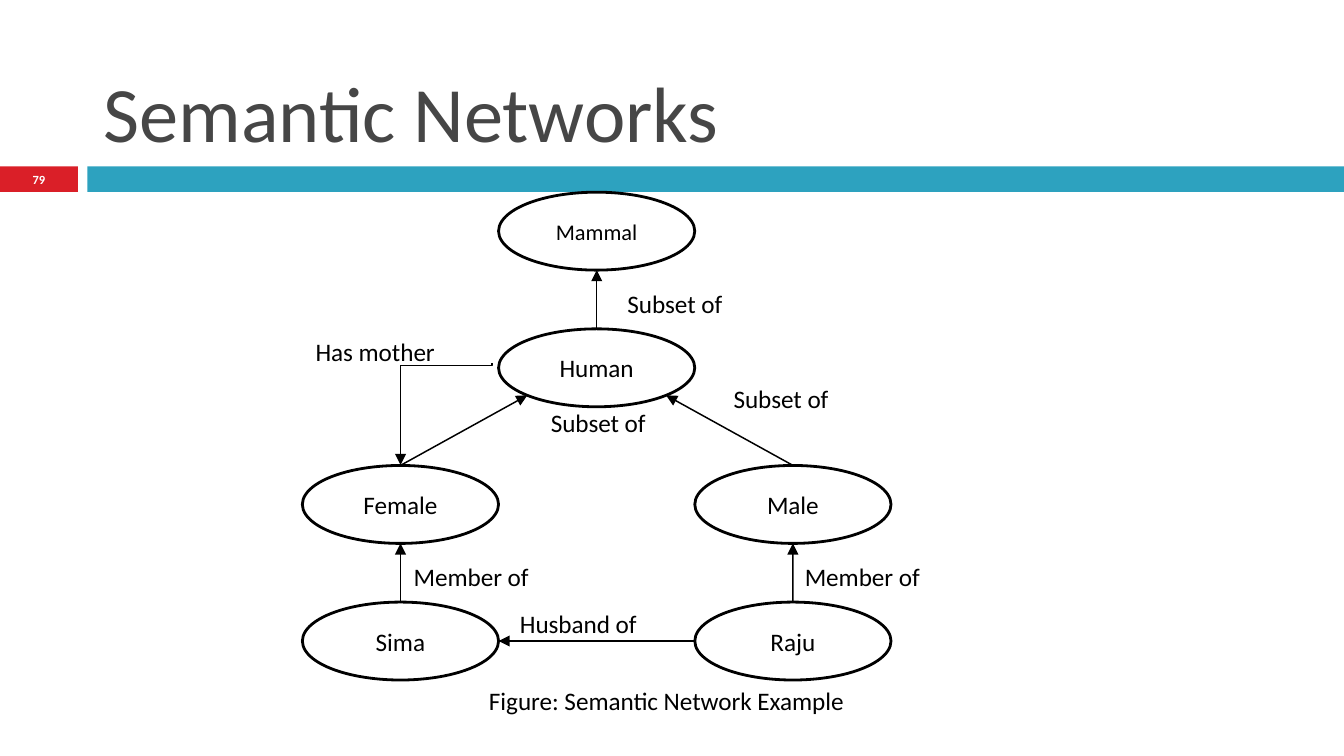
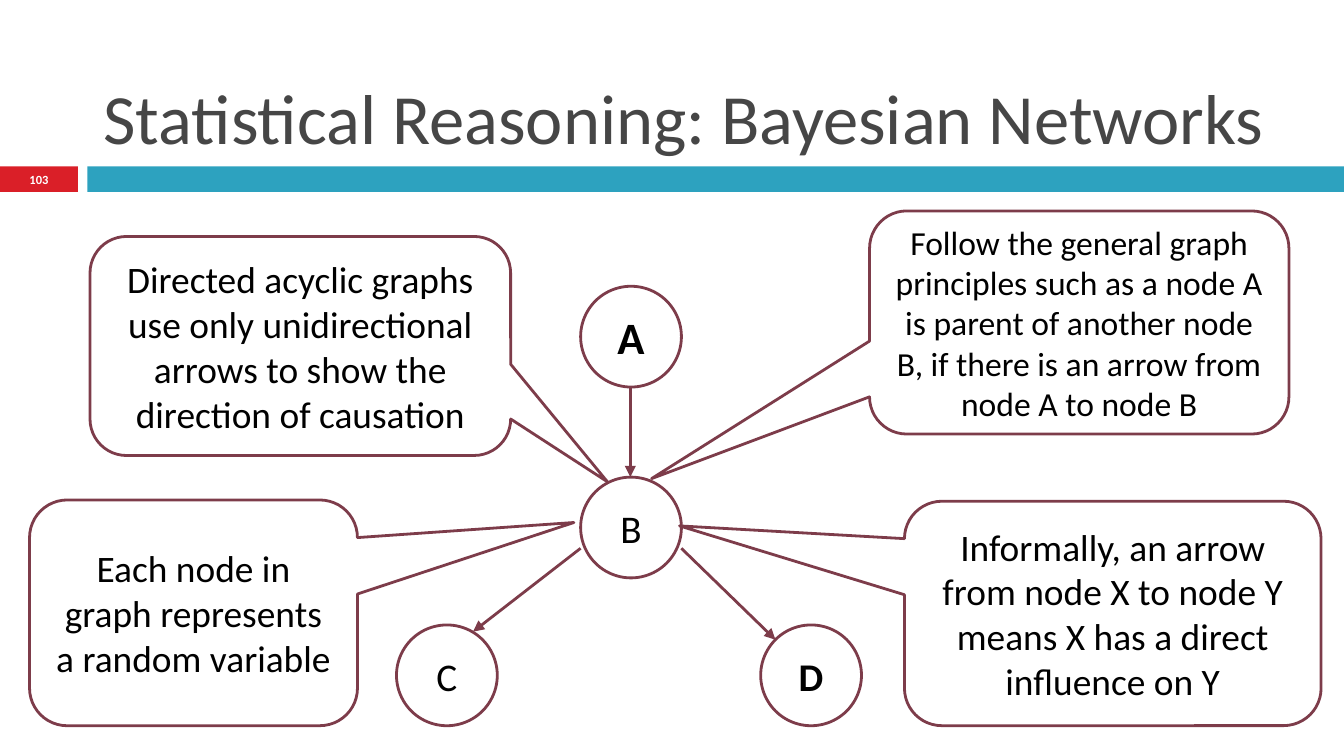
from dataclasses import dataclass
from math import cos, radians, sin

from lxml.etree import SubElement
from pptx import Presentation
from pptx.dml.color import RGBColor
from pptx.enum.shapes import MSO_CONNECTOR, MSO_SHAPE
from pptx.enum.text import MSO_ANCHOR, PP_ALIGN
from pptx.oxml.ns import qn
from pptx.util import Inches, Pt


@dataclass(frozen=True)
class Theme:
    font: str = "Calibri"
    title_color: str = "464646"
    ink: str = "000000"
    paper: str = "FFFFFF"
    number_band: str = "DA1F28"
    title_band: str = "2DA2BF"
    plum: str = "7D3C4A"
    network_title: float = 42
    bayes_title: float = 37.8
    page_number: float = 6.7
    small: float = 12
    label: float = 13.5
    compact: float = 18
    body: float = 20
    letter: float = 21
    root_letter: float = 24
    thin: float = 0.79
    outline: float = 1.5


THEME = Theme()
SLIDE_WIDTH = 10
SLIDE_HEIGHT = SLIDE_WIDTH * 9 / 16
BAND_TOP, BAND_HEIGHT = SLIDE_HEIGHT * 0.22, 0.19
NUMBER_WIDTH, TITLE_BAND_LEFT = 0.58, 0.65
TITLE_LEFT, TITLE_TOP, TITLE_WIDTH, TITLE_HEIGHT = 0.67, 0.13, 8.92, 1.1

GRID_LEFT, GRID_TOP = 2.25, 1.43
COLUMN, ROW = 1.46, 3.05 / 3
NODE_HEIGHT = 0.58
CIRCLE = 0.75

TOP, LEFT, BOTTOM_LEFT, BOTTOM, BOTTOM_RIGHT, RIGHT = 0, 2, 3, 4, 5, 6

CONCEPTS = {
    "Mammal": (1, 0, THEME.small),
    "Human": (1, 1, THEME.label),
    "Female": (0, 2, THEME.label),
    "Male": (2, 2, THEME.label),
    "Sima": (0, 3, THEME.label),
    "Raju": (2, 3, THEME.label),
}
RELATIONS = [
    ("Human", TOP, "Mammal", BOTTOM),
    ("Female", TOP, "Human", BOTTOM_LEFT),
    ("Male", TOP, "Human", BOTTOM_RIGHT),
    ("Sima", TOP, "Female", BOTTOM),
    ("Raju", TOP, "Male", BOTTOM),
    ("Raju", LEFT, "Sima", RIGHT),
]
RELATION_NAMES = [
    ("Subset of", 4.57, 2.1, 1.16),
    ("Subset of", 5.36, 2.8, 0.9),
    ("Subset of", 4, 2.98, 0.9),
    ("Has mother", 2.25, 2.45, 1.35),
    ("Member of", 2.98, 4.13, 1.34),
    ("Member of", 5.89, 4.13, 1.34),
    ("Husband of", 3.77, 4.48, 1.38),
    ("Figure: Semantic Network Example", 3.54, 5.05, 3.13),
]

VARIABLES = {
    "A": (4.32, 2.13, THEME.root_letter, True),
    "B": (4.32, 3.55, THEME.letter, False),
    "C": (2.95, 4.65, THEME.letter, False),
    "D": (5.66, 4.65, THEME.letter, True),
}
CAUSES = [
    ((4.69, 2.88), (4.69, 3.55)),
    ((4.32, 4.08), (3.52, 4.7)),
    ((5.07, 4.08), (5.77, 4.76)),
]
REMARKS = [
    ("Directed acyclic graphs use only unidirectional arrows to show the direction of causation",
     (0.67, 1.76, 3.13, 1.63), (0.73, 0.62), THEME.body),
    ("Each node in graph represents a random variable",
     (0.22, 3.72, 2.44, 1.68), (1.16, -0.4), THEME.body),
    ("Follow the general graph principles such as a node A is parent of another node B, "
     "if there is an arrow from node A to node B",
     (6.47, 1.57, 3.12, 1.66), (-1.02, 0.7), THEME.compact),
    ("Informally, an arrow from node X to node Y means X has a direct influence on Y",
     (6.73, 3.73, 3.1, 1.67), (-1.04, -0.39), THEME.body),
]


def rgb(value):
    return RGBColor.from_string(value)


def inches(*lengths):
    return [Inches(length) for length in lengths]


def write(shape, text, *, size, color=THEME.ink, bold=False,
          align=PP_ALIGN.CENTER, anchor=MSO_ANCHOR.MIDDLE):
    frame = shape.text_frame
    frame.word_wrap = True
    frame.vertical_anchor = anchor
    paragraph = frame.paragraphs[0]
    paragraph.alignment = align
    run = paragraph.add_run()
    run.text = text
    run.font.name = THEME.font
    run.font.size = Pt(size)
    run.font.bold = bold
    run.font.color.rgb = rgb(color)
    return frame


def add_figure(slide, kind, box, *, fill=None, line=None):
    shape = slide.shapes.add_shape(kind, *inches(*box))
    shape.shadow.inherit = False
    if fill:
        shape.fill.solid()
        shape.fill.fore_color.rgb = rgb(fill)
    else:
        shape.fill.background()
    if line:
        shape.line.color.rgb = rgb(line)
        shape.line.width = Pt(THEME.outline)
    else:
        shape.line.fill.background()
    return shape


def add_arrow(slide, start, end, *, color, width, kind=MSO_CONNECTOR.STRAIGHT):
    arrow = slide.shapes.add_connector(kind, *inches(*start, *end))
    arrow.line.color.rgb = rgb(color)
    arrow.line.width = Pt(width)
    SubElement(arrow.line._get_or_add_ln(), qn("a:tailEnd"), type="triangle")
    SubElement(arrow._element.spPr, qn("a:effectLst"))
    return arrow


def add_label(slide, text, left, top, width):
    label = slide.shapes.add_textbox(*inches(left, top, width, 0.33))
    frame = write(label, text, size=THEME.label, align=PP_ALIGN.LEFT, anchor=MSO_ANCHOR.TOP)
    frame.margin_right = 0


def add_titled_slide(deck, title, number, title_size):
    slide = deck.slides.add_slide(deck.slide_layouts[5])
    add_figure(slide, MSO_SHAPE.RECTANGLE,
               (TITLE_BAND_LEFT, BAND_TOP, SLIDE_WIDTH - TITLE_BAND_LEFT, BAND_HEIGHT),
               fill=THEME.title_band)
    number_band = add_figure(slide, MSO_SHAPE.RECTANGLE,
                             (0, BAND_TOP, NUMBER_WIDTH, BAND_HEIGHT), fill=THEME.number_band)
    number_frame = write(number_band, number, size=THEME.page_number,
                         color=THEME.paper, bold=True)
    number_frame.margin_top = number_frame.margin_bottom = 0

    heading = slide.shapes.title
    heading.left, heading.top, heading.width, heading.height = inches(
        TITLE_LEFT, TITLE_TOP, TITLE_WIDTH, TITLE_HEIGHT)
    write(heading, title, size=title_size, color=THEME.title_color,
          align=PP_ALIGN.LEFT, anchor=MSO_ANCHOR.BOTTOM)
    return slide


def node_box(name):
    column, row, _ = CONCEPTS[name]
    return GRID_LEFT + column * COLUMN, GRID_TOP + row * ROW, COLUMN, NODE_HEIGHT


def site_point(name, site):
    left, top, width, height = node_box(name)
    angle = radians(90 + 45 * site)
    return left + width / 2 * (1 + cos(angle)), top + height / 2 * (1 - sin(angle))


def relate(slide, nodes, source, source_site, target, target_site):
    arrow = add_arrow(slide, site_point(source, source_site), site_point(target, target_site),
                      color=THEME.ink, width=THEME.thin)
    links = arrow._element.nvCxnSpPr.cNvCxnSpPr
    for tag, name, site in (("a:stCxn", source, source_site), ("a:endCxn", target, target_site)):
        SubElement(links, qn(tag), id=str(nodes[name].shape_id), idx=str(site))


def add_mother_link(slide):
    link = add_arrow(slide, (2.94, 2.74), (3.7, 3.42), color=THEME.ink,
                     width=THEME.thin, kind=MSO_CONNECTOR.ELBOW)
    properties = link._element.spPr
    properties.find(qn("a:xfrm")).set("rot", str(90 * 60000))
    bend = properties.find(qn("a:prstGeom")).find(qn("a:avLst"))
    SubElement(bend, qn("a:gd"), name="adj1", fmla="val 2400")


def build_semantic_network(deck):
    slide = add_titled_slide(deck, "Semantic Networks", "79", THEME.network_title)
    nodes = {}
    for name, (_, _, size) in CONCEPTS.items():
        nodes[name] = add_figure(slide, MSO_SHAPE.OVAL, node_box(name), line=THEME.ink)
        write(nodes[name], name, size=size)
    for relation in RELATIONS:
        relate(slide, nodes, *relation)
    add_mother_link(slide)
    for relation_name in RELATION_NAMES:
        add_label(slide, *relation_name)


def add_remark(slide, text, box, pointer, size):
    callout = add_figure(slide, MSO_SHAPE.ROUNDED_RECTANGULAR_CALLOUT, box,
                         fill=THEME.paper, line=THEME.plum)
    callout.adjustments[0], callout.adjustments[1] = pointer
    write(callout, text, size=size)


def build_bayesian_network(deck):
    slide = add_titled_slide(deck, "Statistical Reasoning: Bayesian Networks", "103",
                             THEME.bayes_title)
    for cause, effect in CAUSES:
        add_arrow(slide, cause, effect, color=THEME.plum, width=THEME.outline)
    for letter, (left, top, size, bold) in VARIABLES.items():
        circle = add_figure(slide, MSO_SHAPE.OVAL, (left, top, CIRCLE, CIRCLE),
                            fill=THEME.paper, line=THEME.plum)
        write(circle, letter, size=size, bold=bold)
    for remark in REMARKS:
        add_remark(slide, *remark)


def main():
    deck = Presentation()
    deck.slide_width, deck.slide_height = inches(SLIDE_WIDTH, SLIDE_HEIGHT)
    build_semantic_network(deck)
    build_bayesian_network(deck)
    deck.save("out.pptx")


if __name__ == "__main__":
    main()
